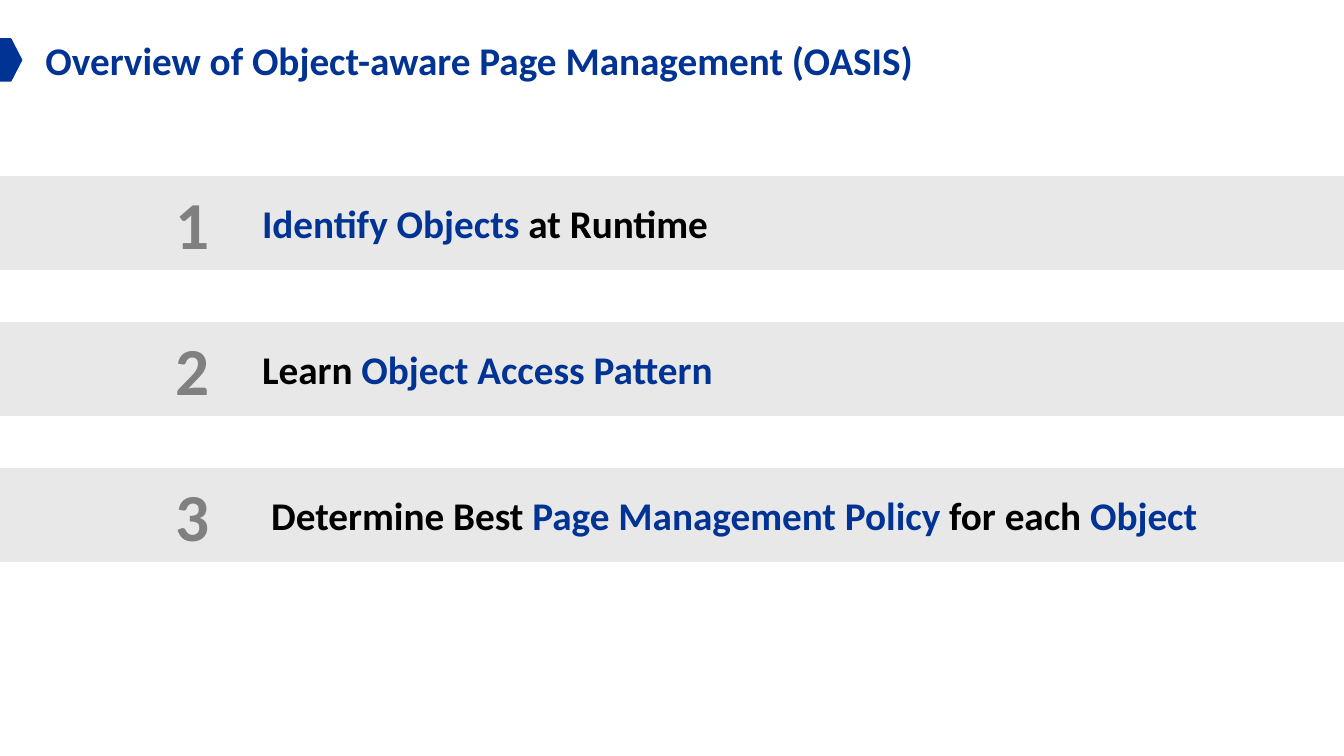
from dataclasses import dataclass

from pptx import Presentation
from pptx import util as u
from pptx.dml.color import RGBColor
from pptx.enum import shapes, text

NAVY, BLACK, GRAY, PALE = "003393", "000000", "808080", "E8E8E8"
SLIDE_WIDTH, SLIDE_HEIGHT = u.Inches(13.33), u.Inches(7.5)
FIRST_ROW, ROW_PITCH, ROW_HEIGHT = 23.43, 19.33, 12.13
STEP_COLUMN = 19.5


@dataclass(frozen=True)
class Phrase:
    wording: str
    color: str


@dataclass(frozen=True)
class Step:
    phrases: tuple[Phrase, ...]
    column: float = STEP_COLUMN


STEPS = (
    Step((Phrase("Identify Objects ", NAVY), Phrase("at Runtime", BLACK))),
    Step((Phrase("Learn ", BLACK), Phrase("Object Access Pattern", NAVY))),
    Step(
        (
            Phrase("Determine Best ", BLACK),
            Phrase("Page Management Policy ", NAVY),
            Phrase("for each ", BLACK),
            Phrase("Object", NAVY),
        ),
        column=20.18,
    ),
)


def rgb(color: str) -> RGBColor:
    return RGBColor.from_string(color)


def across(percent: float) -> int:
    return u.Emu(round(SLIDE_WIDTH * percent / 100))


def down(percent: float) -> int:
    return u.Emu(round(SLIDE_HEIGHT * percent / 100))


def area(left: float, top: float, width: float, height: float) -> tuple[int, ...]:
    return across(left), down(top), across(width), down(height)


def apply(target, formats: dict) -> None:
    for key, value in formats.items():
        setattr(target, key, value)


def write(frame, phrases: tuple[Phrase, ...], size: int, **frame_formats) -> None:
    apply(frame, {"word_wrap": True, **frame_formats})
    paragraph = frame.paragraphs[0]
    paragraph.alignment = text.PP_ALIGN.LEFT
    for phrase in phrases:
        run = paragraph.add_run()
        run.text = phrase.wording
        apply(run.font, {"name": "Calibri", "size": u.Pt(size), "bold": True})
        run.font.color.rgb = rgb(phrase.color)


def add_block(slide, kind, place: tuple[int, ...], color: str):
    block = slide.shapes.add_shape(kind, *place)
    block.shadow.inherit = False
    block.fill.solid()
    block.fill.fore_color.rgb = rgb(color)
    block.line.color.rgb = rgb(color)
    block.line.width = u.Pt(1.5)
    return block


def add_heading(slide) -> None:
    heading = slide.shapes.title
    place = area(2.63, 4.13, 94.2, 7.6)
    apply(heading, dict(zip(("left", "top", "width", "height"), place)))
    wording = "Overview of Object-aware Page Management (OASIS)"
    write(
        heading.text_frame,
        (Phrase(wording, NAVY),),
        28,
        vertical_anchor=text.MSO_ANCHOR.TOP,
    )
    add_block(slide, shapes.MSO_SHAPE.PENTAGON, area(0, 5.2, 1.58, 5.47), NAVY)


def add_step(slide, number: int, step: Step) -> None:
    top = FIRST_ROW + (number - 1) * ROW_PITCH
    band_place = area(0, top, 100, ROW_HEIGHT)
    band = add_block(slide, shapes.MSO_SHAPE.RECTANGLE, band_place, PALE)
    write(
        band.text_frame,
        step.phrases,
        28,
        margin_left=across(step.column),
        vertical_anchor=text.MSO_ANCHOR.MIDDLE,
    )
    numeral = slide.shapes.add_textbox(*area(12.3, top, 6.98, ROW_HEIGHT))
    write(numeral.text_frame, (Phrase(str(number), GRAY),), 48)


def main() -> None:
    deck = Presentation()
    apply(deck, {"slide_width": SLIDE_WIDTH, "slide_height": SLIDE_HEIGHT})
    slide = deck.slides.add_slide(deck.slide_layouts.get_by_name("Title Only"))
    add_heading(slide)
    for number, step in enumerate(STEPS, start=1):
        add_step(slide, number, step)
    deck.save("out.pptx")


if __name__ == "__main__":
    main()
